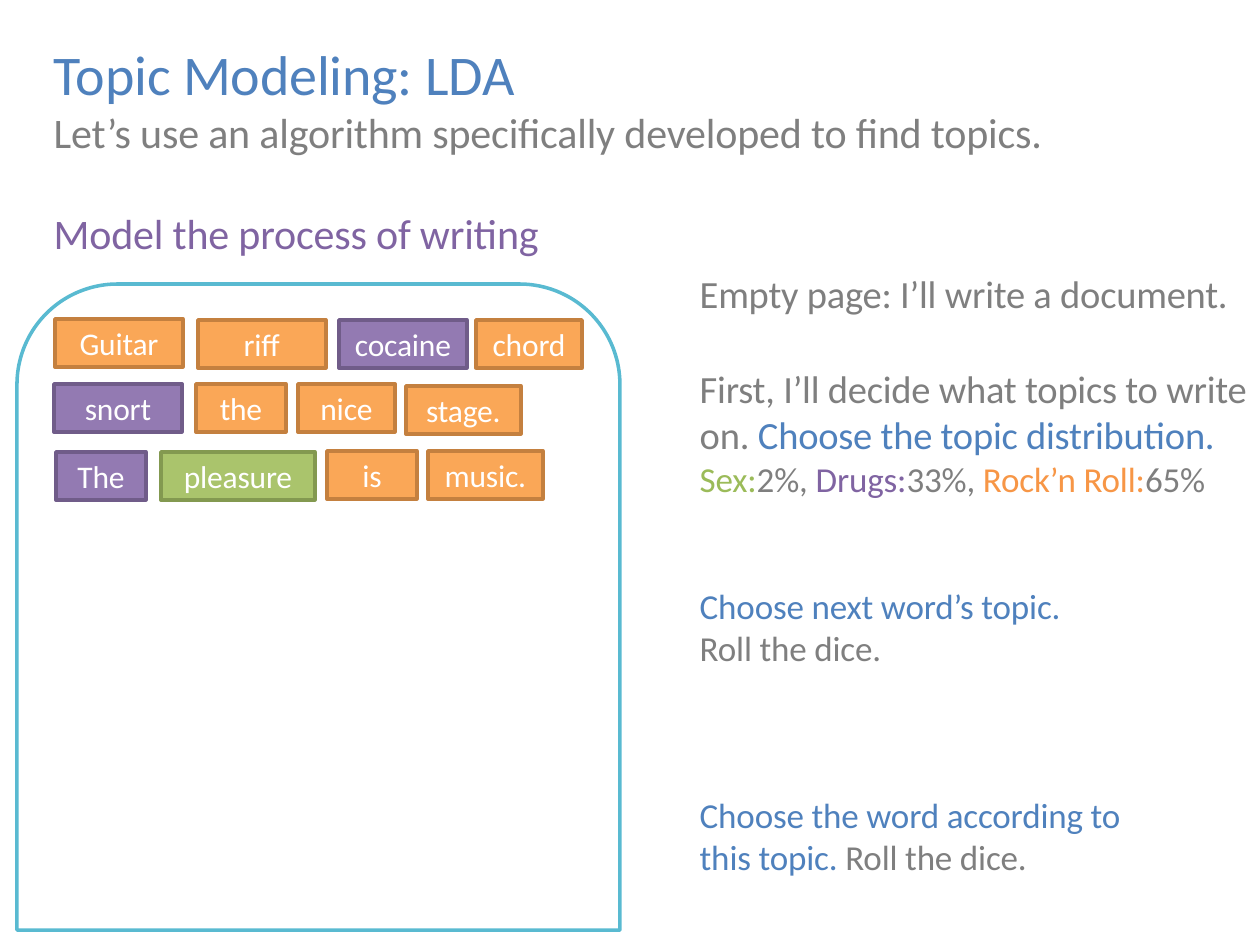
from dataclasses import dataclass

from pptx import Presentation
from pptx.dml.color import RGBColor as Rgb
from pptx.enum.shapes import MSO_SHAPE as Preset
from pptx.enum.text import MSO_ANCHOR as Anchor, PP_ALIGN as Align
from pptx.util import Emu, Pt

EMU_PER_PIXEL = 914400 / 126


@dataclass(frozen=True)
class Theme:
    font: str = "Calibri"
    blue: str = "4F81BD"
    gray: str = "7F7F7F"
    purple: str = "8064A2"
    green: str = "9BBB59"
    orange: str = "F79646"
    white: str = "FFFFFF"
    page_line: str = "59BAD1"
    drugs: tuple = ("937AB2", "705C89")
    sex: tuple = ("AAC46C", "839950")
    rock: tuple = ("FAA757", "C4803F")
    title: int = 32
    heading: int = 24
    lead: int = 22
    step: int = 20
    word: int = 18
    spacing: int = -10


THEME = Theme()

WORD_HEIGHT = 48
WORDS = [
    ("Guitar", 55, 319, 128, THEME.rock),
    ("riff", 198, 320, 128, THEME.rock),
    ("cocaine", 339, 320, 128, THEME.drugs),
    ("chord", 476, 320, 106, THEME.rock),
    ("snort", 54, 384, 128, THEME.drugs),
    ("the", 196, 384, 90, THEME.rock),
    ("nice", 298, 384, 97, THEME.rock),
    ("stage.", 406, 386, 115, THEME.rock),
    ("The", 56, 452, 90, THEME.drugs),
    ("pleasure", 161, 452, 154, THEME.sex),
    ("is", 327, 451, 90, THEME.rock),
    ("music.", 428, 451, 115, THEME.rock),
]

TEXTS = [
    ((52, 40, 1157, 120), [
        [("Topic Modeling: LDA", THEME.title, THEME.blue)],
        [("Let’s use an algorithm speciﬁcally developed to ﬁnd topics.",
          THEME.heading, THEME.gray)],
    ], Pt(28.4)),
    ((52, 208, 494, 53), [
        [("Model the process of writing", THEME.heading, THEME.purple)],
    ], None),
    ((698, 270, 541, 49), [
        [("Empty page: I’ll write a document.", THEME.lead, THEME.gray)],
    ], None),
    ((698, 365, 562, 137), [
        [("First, I’ll decide what topics to write on. ", THEME.lead, THEME.gray),
         ("Choose the topic distribution. ", THEME.lead, THEME.blue),
         ("Sex:", THEME.step, THEME.green),
         ("2%, ", THEME.step, THEME.gray),
         ("Drugs:", THEME.step, THEME.purple),
         ("33%, ", THEME.step, THEME.gray),
         ("Rock’n Roll:", THEME.step, THEME.orange),
         ("65%", THEME.step, THEME.gray)],
    ], None),
    ((698, 585, 372, 87), [
        [("Choose next word’s topic.", THEME.step, THEME.blue)],
        [("Roll the dice.", THEME.step, THEME.gray)],
    ], None),
    ((698, 794, 431, 87), [
        [("Choose the word according to this topic. ", THEME.step, THEME.blue),
         ("Roll the dice.", THEME.step, THEME.gray)],
    ], None),
]


def px(*lengths):
    return [Emu(round(length * EMU_PER_PIXEL)) for length in lengths]


def add_run(paragraph, wording, size, color):
    run = paragraph.add_run()
    run.text = wording
    run.font.name = THEME.font
    run.font.size = Pt(size)
    run.font.color.rgb = Rgb.from_string(color)
    run.font._element.set("spc", str(THEME.spacing))


def clear_margins(frame, left=0):
    frame.margin_left = left
    frame.margin_top = frame.margin_right = frame.margin_bottom = 0


def add_text(slide, place, paragraphs, last_spacing):
    frame = slide.shapes.add_textbox(*px(*place)).text_frame
    frame.word_wrap = True
    clear_margins(frame, Pt(1))
    for index, runs in enumerate(paragraphs):
        paragraph = frame.add_paragraph() if index else frame.paragraphs[0]
        for run in runs:
            add_run(paragraph, *run)
    if last_spacing:
        paragraph.line_spacing = last_spacing


def add_outlined(slide, preset, place, fill, line):
    outlined = slide.shapes.add_shape(preset, *px(*place))
    outlined.shadow.inherit = False
    if fill:
        outlined.fill.solid()
        outlined.fill.fore_color.rgb = Rgb.from_string(fill)
    else:
        outlined.fill.background()
    outlined.line.color.rgb = Rgb.from_string(line)
    outlined.line.width = Pt(2)
    return outlined


def add_word(slide, word, left, top, width, topic):
    place = (left, top, width, WORD_HEIGHT)
    frame = add_outlined(slide, Preset.RECTANGLE, place, *topic).text_frame
    clear_margins(frame)
    frame.word_wrap = False
    frame.vertical_anchor = Anchor.MIDDLE
    frame.paragraphs[0].alignment = Align.CENTER
    add_run(frame.paragraphs[0], word, THEME.word, THEME.white)


def main():
    deck = Presentation()
    deck.slide_width, deck.slide_height = px(1260, 945)
    slide = deck.slides.add_slide(deck.slide_layouts[6])
    for text in TEXTS:
        add_text(slide, *text)
    add_outlined(slide, Preset.ROUND_2_SAME_RECTANGLE, (17, 284, 603, 646),
                 None, THEME.page_line)
    for word in WORDS:
        add_word(slide, *word)
    deck.save("out.pptx")


main()
